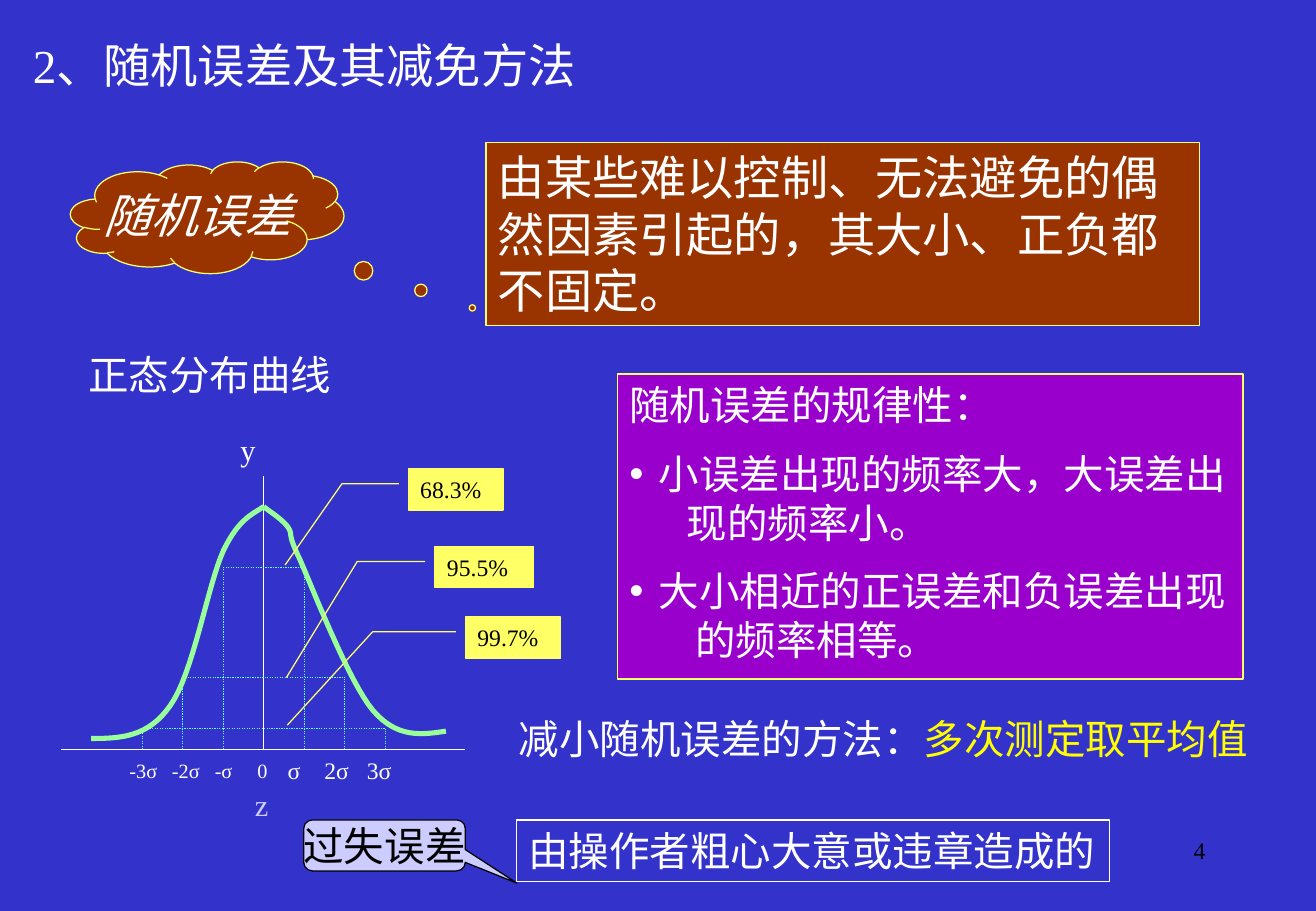
import dataclasses

import pptx
import pptx.dml.color
import pptx.enum.dml
import pptx.enum.shapes
import pptx.enum.text
import pptx.oxml.ns
import pptx.util
from lxml import etree
from pptx.util import Inches

SHAPE = pptx.enum.shapes.MSO_SHAPE
ANCHOR = pptx.enum.text.MSO_ANCHOR
ALIGN = pptx.enum.text.PP_ALIGN


@dataclasses.dataclass(frozen=True)
class Theme:
    latin: str = "Times New Roman"
    cjk: str = "Noto Sans CJK SC"
    background: str = "3333CC"
    white: str = "FFFFFF"
    black: str = "000000"
    yellow: str = "FFFF00"
    border: str = "FFFF66"
    brown: str = "993300"
    purple: str = "9900CC"
    lavender: str = "CCCCFF"
    curve: str = "99FF99"
    guide: str = "66FFFF"
    heading: int = 28
    body: int = 24
    axis: int = 18
    label: int = 14
    tick: int = 12
    thin: float = 0.75
    thick: float = 3


THEME = Theme()


def rgb(colour):
    return pptx.dml.color.RGBColor.from_string(colour)


def add_xml(parent, tag, **attributes):
    return etree.SubElement(parent, pptx.oxml.ns.qn(tag), attributes)


def add_run(paragraph, text, size, colour=THEME.white, italic=None):
    run = paragraph.add_run()
    run.text = text
    run.font.size = pptx.util.Pt(size)
    run.font.italic = italic
    run.font.color.rgb = rgb(colour)
    run.font.name = THEME.latin
    add_xml(run.font._element, "a:ea", typeface=THEME.cjk)


def set_frame(shape, anchor=ANCHOR.TOP, wrap=True):
    frame = shape.text_frame
    frame.auto_size = pptx.enum.text.MSO_AUTO_SIZE.NONE
    frame.word_wrap = wrap
    frame.vertical_anchor = anchor
    frame.margin_left = frame.margin_right = Inches(0.1)
    frame.margin_top = frame.margin_bottom = Inches(0.05)
    return frame


def place(shape, box):
    shape.left, shape.top, shape.width, shape.height = map(Inches, box)


def paint(shape, fill, line):
    if fill:
        shape.fill.solid()
        shape.fill.fore_color.rgb = rgb(fill)
    else:
        shape.fill.background()
    shape.line.color.rgb = rgb(line)
    shape.line.width = pptx.util.Pt(THEME.thin)


def set_indents(paragraph, margin=0.0, hanging=0.0, bullet=None, tab=None):
    properties = paragraph._p.get_or_add_pPr()
    properties.set("marL", str(Inches(margin)))
    properties.set("indent", str(-Inches(hanging)))
    if bullet:
        add_xml(properties, "a:buChar", char=bullet)
    else:
        add_xml(properties, "a:buNone")
    if tab:
        stops = add_xml(properties, "a:tabLst")
        add_xml(stops, "a:tab", pos=str(Inches(tab)), algn="l")


def add_label(shapes, box, *runs, align=ALIGN.LEFT):
    textbox = shapes.add_textbox(*map(Inches, box))
    paragraph = set_frame(textbox).paragraphs[0]
    paragraph.alignment = align
    for run in runs:
        add_run(paragraph, *run)


def add_panel(shapes, kind, box, text, size, fill, line, colour=THEME.white,
              adjustments=(), centred=False, wrap=True, italic=None):
    panel = shapes.add_shape(kind, *map(Inches, box))
    panel.shadow.inherit = False
    paint(panel, fill, line)
    for index, value in enumerate(adjustments):
        panel.adjustments[index] = value
    frame = set_frame(panel, ANCHOR.MIDDLE if centred else ANCHOR.TOP, wrap)
    frame.paragraphs[0].alignment = ALIGN.CENTER if centred else ALIGN.LEFT
    add_run(frame.paragraphs[0], text, size, colour, italic)


def add_line(shapes, start, end, colour, dash=None):
    line = shapes.add_connector(pptx.enum.shapes.MSO_CONNECTOR.STRAIGHT,
                                *map(Inches, start + end))
    line.line.color.rgb = rgb(colour)
    line.line.width = pptx.util.Pt(THEME.thin)
    line.line.dash_style = dash
    add_xml(line._element.spPr, "a:effectLst")


def bezier_points(points, steps=16):
    for first in range(0, len(points) - 1, 3):
        a, b, c, d = points[first:first + 4]
        for step in range(1, steps + 1):
            t = step / steps
            u = 1 - t
            yield tuple(Inches(u**3 * a[i] + 3 * u * u * t * b[i]
                               + 3 * u * t * t * c[i] + t**3 * d[i]) for i in (0, 1))


def add_curve(shapes, points):
    builder = shapes.build_freeform(*map(Inches, points[0]))
    builder.add_line_segments(list(bezier_points(points)), close=False)
    curve = builder.convert_to_shape()
    curve.shadow.inherit = False
    curve.fill.background()
    curve.line.color.rgb = rgb(THEME.curve)
    curve.line.width = pptx.util.Pt(THEME.thick)


def add_distribution(slide):
    plot = slide.shapes.add_group_shape().shapes
    mean, sigma, baseline = 2.17, 1 / 3, 6.17
    add_line(plot, (0.5, baseline), (3.83, baseline), THEME.white)
    add_line(plot, (mean, baseline), (mean, 3.92), THEME.white)
    dots = pptx.enum.dml.MSO_LINE.ROUND_DOT
    for count, level in enumerate((4.67, 5.58, 6), 1):
        left, right = mean - count * sigma, mean + count * sigma
        for x in (left, right):
            add_line(plot, (x, baseline), (x, level), THEME.guide, dots)
        add_line(plot, (left, level), (right, level), THEME.guide, dots)

    add_curve(plot, [(0.75, 6.08), (0.99, 6.08), (1.22, 6.07), (1.4, 5.81),
                     (1.59, 5.55), (1.71, 4.81), (1.84, 4.53),
                     (1.97, 4.26), (2.09, 4.23), (2.17, 4.17)])
    add_curve(plot, [(3.67, 6.02), (3.47, 6.05), (3.27, 6.08), (3.07, 5.85),
                     (2.87, 5.61), (2.58, 4.86), (2.47, 4.61),
                     (2.35, 4.36), (2.42, 4.42), (2.37, 4.34),
                     (2.32, 4.27), (2.2, 4.2), (2.17, 4.17)])

    for share, x, y, width, bend, tip_y, tip_x in (
            ("68.3%", 3.36, 3.86, 0.78, -0.7, 2.33, -1.3),
            ("95.5%", 3.58, 4.5, 0.81, -0.79, 3.17, -1.51),
            ("99.7%", 3.83, 5.08, 0.78, -0.98, 2.62, -1.88)):
        add_panel(plot, SHAPE.LINE_CALLOUT_2, (x, y, width, 0.34), share,
                  THEME.label, THEME.border, THEME.border, THEME.black,
                  (0.36, -0.1, 0.36, bend, tip_y, tip_x))

    for size, top, ticks in (
            (THEME.tick, 6.19, (("-3σ", 1.18), ("-2σ", 1.53), ("-σ", 1.84), ("0", 2.16))),
            (THEME.label, 6.17, (("σ", 2.42), ("2σ", 2.77), ("3σ", 3.12)))):
        for text, centre in ticks:
            add_label(plot, (centre - 0.3, top, 0.6, 0.33), (text, size),
                      align=ALIGN.CENTER)
    add_label(plot, (1.88, 3.5, 0.4, 0.4), ("y", THEME.axis))
    add_label(plot, (2, 6.42, 0.4, 0.4), ("z", THEME.axis, THEME.lavender))


def add_regularities(body):
    place(body, (5.08, 3.08, 5.15, 2.51))
    paint(body, THEME.purple, THEME.border)
    frame = set_frame(body)
    heading = frame.paragraphs[0]
    set_indents(heading)
    heading.space_before = pptx.util.Pt(0)
    add_run(heading, "随机误差的规律性：", THEME.body)
    for opening, ending, tab in (
            ("小误差出现的频率大，大误差出", "现的频率小。", 0.47),
            ("大小相近的正误差和负误差出现", "的频率相等。", 0.54)):
        rule = frame.add_paragraph()
        set_indents(rule, 0.24, 0.24, "•", tab)
        rule.space_before = pptx.util.Pt(12)
        add_run(rule, opening, THEME.body)
        rule.add_line_break()
        add_run(rule, "\t" + ending, THEME.body)


def main():
    deck = pptx.Presentation()
    deck.slide_width, deck.slide_height = Inches(10.83), Inches(7.5)
    slide = deck.slides.add_slide(deck.slide_layouts[1])
    slide.background.fill.solid()
    slide.background.fill.fore_color.rgb = rgb(THEME.background)
    shapes = slide.shapes

    place(shapes.title, (0.17, 0.25, 4.67, 1))
    title = set_frame(shapes.title).paragraphs[0]
    title.alignment = ALIGN.LEFT
    add_run(title, "2、随机误差及其减免方法", THEME.heading)
    add_regularities(slide.placeholders[1])

    add_panel(shapes, SHAPE.CLOUD_CALLOUT, (0.58, 1.33, 2.25, 0.92), "随机误差",
              THEME.heading, THEME.brown, THEME.border, adjustments=(0.97, 0.81),
              centred=True, wrap=False, italic=True)
    add_panel(shapes, SHAPE.RECTANGLE, (4, 1.17, 5.87, 1.51),
              "由某些难以控制、无法避免的偶然因素引起的，其大小、正负都不固定。",
              THEME.heading, THEME.brown, THEME.border)
    add_label(shapes, (0.63, 2.83, 5.87, 0.5), ("正态分布曲线", THEME.body))
    add_label(shapes, (4.17, 5.83, 6.42, 0.5), ("减小随机误差的方法：", THEME.body),
              ("多次测定取平均值", THEME.body, THEME.yellow))
    add_distribution(slide)
    add_panel(shapes, SHAPE.ROUNDED_RECTANGULAR_CALLOUT, (2.5, 6.75, 1.33, 0.42),
              "过失误差", THEME.body, THEME.lavender, THEME.black, THEME.black,
              (0.82, 0.74, 0.17), centred=True, wrap=False)
    add_panel(shapes, SHAPE.RECTANGLE, (4.25, 6.75, 4.88, 0.51),
              "由操作者粗心大意或违章造成的", THEME.body, None, THEME.white, wrap=False)
    add_label(shapes, (7.76, 6.83, 2.26, 0.5), ("4", THEME.label, THEME.black),
              align=ALIGN.RIGHT)
    deck.save("out.pptx")


if __name__ == "__main__":
    main()
